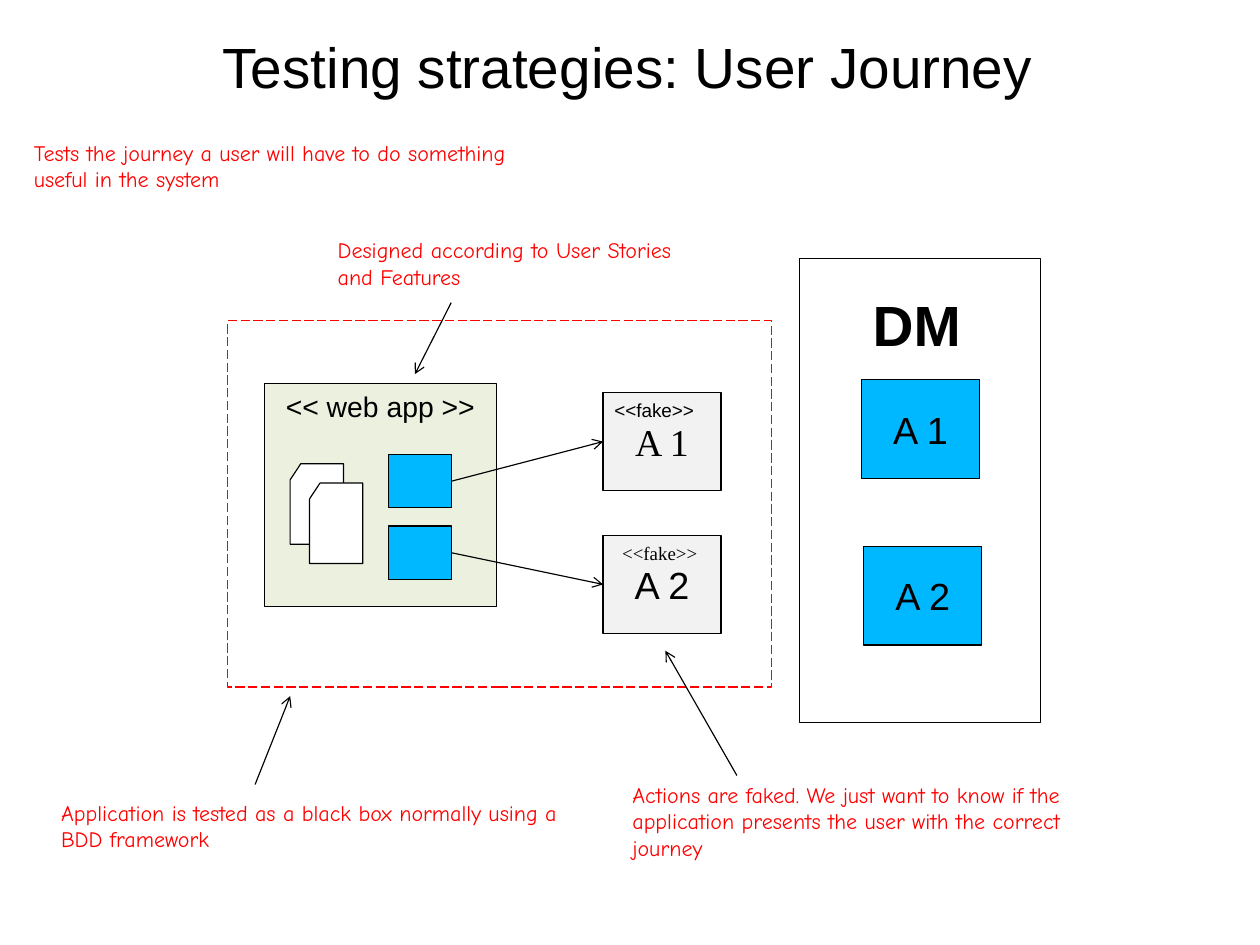
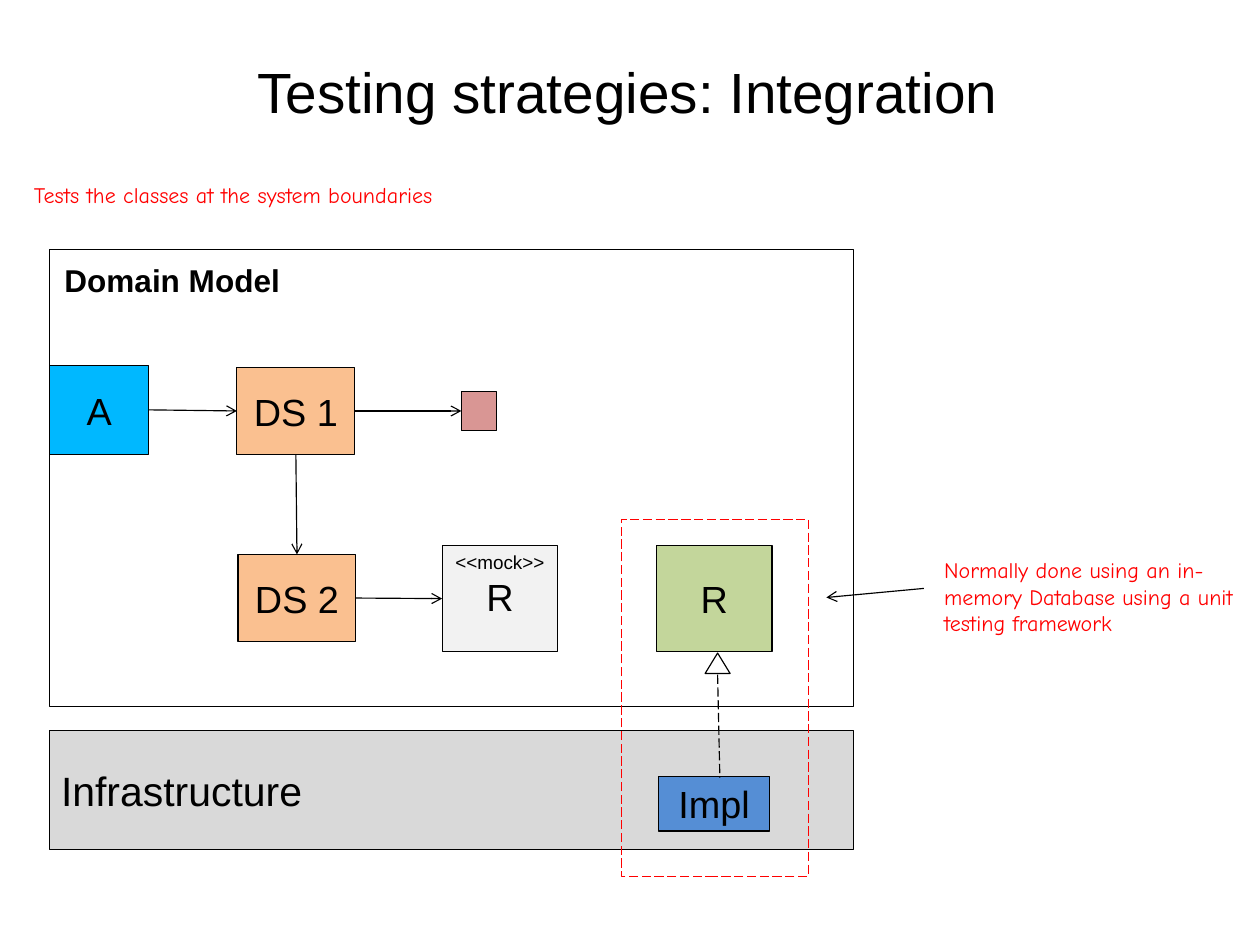
from lxml.etree import SubElement
from pptx import Presentation
from pptx.dml.color import RGBColor
from pptx.enum.dml import MSO_LINE
from pptx.enum.shapes import MSO_CONNECTOR, MSO_SHAPE
from pptx.enum.text import MSO_ANCHOR, MSO_AUTO_SIZE, PP_ALIGN
from pptx.oxml.ns import qn
from pptx.util import Inches, Pt

BLACK = RGBColor(0x00, 0x00, 0x00)
WHITE = RGBColor(0xFF, 0xFF, 0xFF)
RED = RGBColor(0xFF, 0x00, 0x00)
CYAN = RGBColor(0x00, 0xB8, 0xFF)
BLUE = RGBColor(0x55, 0x8E, 0xD5)
PALE_GREEN = RGBColor(0xEB, 0xF1, 0xDE)
GREEN = RGBColor(0xC3, 0xD6, 0x9B)
ORANGE = RGBColor(0xFA, 0xC0, 0x90)
PINK = RGBColor(0xD9, 0x96, 0x94)
PALE_GRAY = RGBColor(0xF2, 0xF2, 0xF2)
GRAY = RGBColor(0xD9, 0xD9, 0xD9)
SANS, SERIF, HAND = "Arial", "Times New Roman", "Comic Neue"
RECT, CARD, TRIANGLE = MSO_SHAPE.RECTANGLE, MSO_SHAPE.FLOWCHART_CARD, MSO_SHAPE.ISOSCELES_TRIANGLE
LEFT, CENTER = PP_ALIGN.LEFT, PP_ALIGN.CENTER
TOP, MIDDLE = MSO_ANCHOR.TOP, MSO_ANCHOR.MIDDLE
SIDE_TOP, SIDE_LEFT, SIDE_BOTTOM, SIDE_RIGHT = range(4)


def box(s, at, text="", fill=None, kind=RECT, size=24, font=SANS, color=BLACK,
        bold=False, align=CENTER, anchor=MIDDLE, wrap=True, dashed=False):
    place = [Inches(v) for v in at]
    if kind is None:
        sp = s.shapes.add_textbox(*place)
    else:
        sp = s.shapes.add_shape(kind, *place)
        sp.shadow.inherit = False
        if fill is None:
            sp.fill.background()
        else:
            sp.fill.solid()
            sp.fill.fore_color.rgb = fill
        sp.line.color.rgb = RED if dashed else BLACK
        sp.line.width = Pt(0.75)
        if dashed:
            sp.line.dash_style = MSO_LINE.LONG_DASH
    if text:
        tf = sp.text_frame
        tf.word_wrap = wrap
        tf.vertical_anchor = anchor
        tf.text = text
        for p in tf.paragraphs:
            p.alignment = align
            for r in p.runs:
                r.font.name, r.font.size, r.font.bold = font, Pt(size), bold
                r.font.color.rgb = color
    return sp


def line(s, start=(0, 0), end=(0, 0), arrow=True):
    c = s.shapes.add_connector(MSO_CONNECTOR.STRAIGHT, *[Inches(v) for v in start + end])
    c.line.color.rgb = BLACK
    c.line.width = Pt(0.75)
    if arrow:
        SubElement(c.line._get_or_add_ln(), qn("a:tailEnd"), type="arrow")
    else:
        c.line.dash_style = MSO_LINE.LONG_DASH
    SubElement(c._element.spPr, qn("a:effectLst"))
    return c


prs = Presentation()
prs.slide_width = Pt(800.25)
prs.slide_height = Pt(600.13)

pages = [
    ("Testing strategies: User Journey", 0.23, 0.71, [
        ((0.2, 1.18, 4.65, 0.57), "Tests the journey a user will have to do something useful in the system"),
        ((0.44, 7, 4.65, 0.57), "Application is tested as a black box normally using a BDD framework"),
        ((5.48, 6.84, 4.65, 0.81), "Actions are faked. We just want to know if the application presents "
                                   "the user with the correct journey"),
        ((2.88, 2.04, 3.31, 0.57), "Designed according to User Stories and Features"),
    ]),
    ("Testing strategies: Integration", 0.37, 0.86, [
        ((0.2, 1.55, 5.91, 0.34), "Tests the classes at the system boundaries"),
        ((8.23, 4.86, 2.83, 1.04), "Normally done using an in-memory Database using a unit testing framework"),
    ]),
]
slides = []
for title, top, height, notes in pages:
    s = prs.slides.add_slide(prs.slide_layouts[5])
    sp = s.shapes.title
    sp.left, sp.top, sp.width, sp.height = [Inches(v) for v in (0.83, top, 9.41, height)]
    tf = sp.text_frame
    tf.text = title
    tf.auto_size = MSO_AUTO_SIZE.NONE
    tf.vertical_anchor = MIDDLE
    p = tf.paragraphs[0]
    p.alignment = CENTER
    font = p.runs[0].font
    font.name, font.size = SANS, Pt(36)
    font.color.rgb = BLACK
    for at, text in notes:
        box(s, at, text, kind=None, size=14, font=HAND, color=RED, align=LEFT, anchor=TOP)
    slides.append(s)
journey, integration = slides

s = journey
box(s, (7.05, 2.28, 2.13, 4.09), fill=WHITE)
box(s, (7.6, 2.51, 1.5, 0.71), "DM", kind=None, size=36, bold=True, align=LEFT, anchor=TOP)
box(s, (7.6, 3.35, 1.04, 0.87), "A 1", CYAN)
box(s, (7.62, 4.82, 1.04, 0.87), "A 2", CYAN)
box(s, (2.33, 3.38, 2.05, 1.97), "<< web app >>", PALE_GREEN, size=18, anchor=TOP)
for i in range(2):
    box(s, (2.56 + 0.17 * i, 4.09 + 0.17 * i, 0.47, 0.71), fill=WHITE, kind=CARD)

fakes = [
    ("A 1", 4.01, 3.46, SERIF, SANS, (5.32, 3.47, 0.92, 0.3)),
    ("A 2", 4.64, 4.72, SANS, SERIF, (5.39, 4.73, 0.87, 0.3)),
]
for name, caller_top, fake_top, name_font, label_font, label_at in fakes:
    caller = box(s, (3.43, caller_top, 0.55, 0.47), fill=CYAN)
    fake = box(s, (5.32, fake_top, 1.04, 0.87), name, PALE_GRAY, font=name_font)
    box(s, label_at, "<<fake>>", kind=None, size=12, font=label_font, align=LEFT, anchor=TOP, wrap=False)
    c = line(s)
    c.begin_connect(caller, SIDE_RIGHT)
    c.end_connect(fake, SIDE_LEFT)

box(s, (2.01, 2.83, 4.8, 3.23), dashed=True)
for start, end in [((2.25, 6.92), (2.56, 6.14)), ((6.5, 6.84), (5.87, 5.74)), ((3.98, 2.67), (3.66, 3.3))]:
    line(s, start, end)

s = integration
box(s, (0.44, 2.2, 7.09, 4.03), fill=WHITE)
box(s, (0.47, 2.25, 3.51, 0.44), "Domain Model", kind=None, size=20, bold=True, align=LEFT, anchor=TOP)
box(s, (0.44, 6.44, 7.09, 1.05), "Infrastructure", GRAY, size=26, align=LEFT)
box(s, (5.81, 6.85, 0.98, 0.48), "Impl", BLUE)
line(s, (6.33, 5.95), (6.35, 6.86), arrow=False)
box(s, (6.22, 5.76, 0.22, 0.18), kind=TRIANGLE)
box(s, (5.79, 4.81, 1.02, 0.94), "R", GREEN)

action = box(s, (0.44, 3.22, 0.87, 0.79), "A", CYAN)
service1 = box(s, (2.09, 3.24, 1.04, 0.77), "DS 1", ORANGE)
service2 = box(s, (2.1, 4.89, 1.04, 0.77), "DS 2", ORANGE)
entity = box(s, (4.07, 3.45, 0.31, 0.35), fill=PINK)
mock = box(s, (3.9, 4.81, 1.02, 0.94), "<<mock>>\nR", PALE_GRAY, anchor=TOP)
mock.text_frame.paragraphs[0].runs[0].font.size = Pt(12)

links = [
    (action, SIDE_RIGHT, service1, SIDE_LEFT),
    (service1, SIDE_RIGHT, entity, SIDE_LEFT),
    (service1, SIDE_BOTTOM, service2, SIDE_TOP),
    (service2, SIDE_RIGHT, mock, SIDE_LEFT),
]
for start, start_side, end, end_side in links:
    c = line(s)
    c.begin_connect(start, start_side)
    c.end_connect(end, end_side)

box(s, (5.48, 4.58, 1.65, 3.15), dashed=True)
line(s, (8.15, 5.19), (7.29, 5.27))

prs.save("out.pptx")
